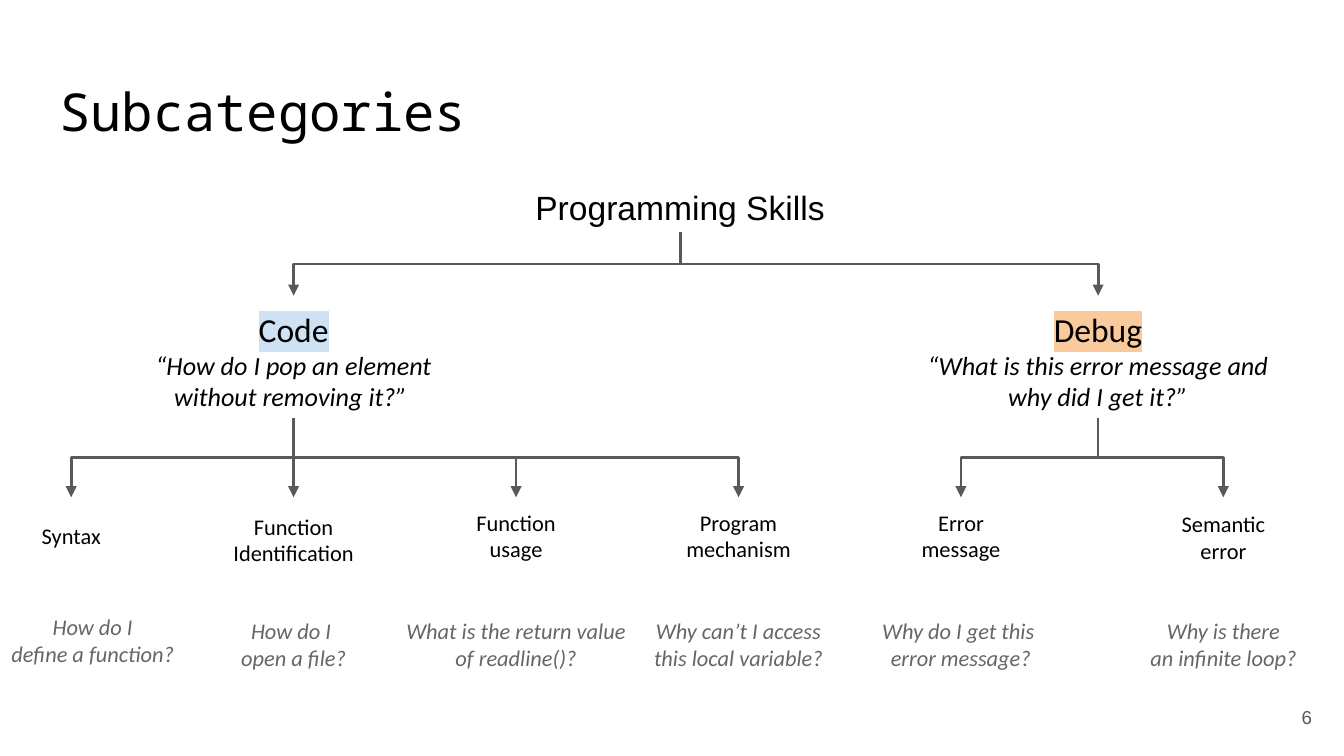
import copy
from dataclasses import dataclass

import pptx
import pptx.dml.color
import pptx.enum.shapes
import pptx.enum.text
import pptx.oxml
import pptx.oxml.ns
import pptx.util

ALIGN = pptx.enum.text.PP_ALIGN
ANCHOR = pptx.enum.text.MSO_ANCHOR
CONNECTOR = pptx.enum.shapes.MSO_CONNECTOR
Inches = pptx.util.Inches
qn = pptx.oxml.ns.qn

SLIDE_W = 10
SLIDE_H = SLIDE_W * 9 / 16
FIRST_COLUMN, COLUMN_STEP = 0.53, (7.15 - 0.53) / 4
SKILL_ROW, CATEGORY_ROW, LEAF_ROW, QUESTION_ROW = 1.29, 2.2, 3.7, 4.41


@dataclass(frozen=True)
class Theme:
    title_font: str = "Noto Sans Mono"
    heading_font: str = "Arial"
    body_font: str = "Calibri"
    text: str = "000000"
    muted: str = "666666"
    line: str = "595959"
    code: str = "CFE2F3"
    debug: str = "F9CB9C"
    title_size: int = 28
    heading_size: int = 18
    quote_size: int = 14
    leaf_size: int = 12
    number_size: int = 10
    line_width: float = 1.5


THEME = Theme()


@dataclass(frozen=True)
class Leaf:
    name: str
    question: str
    column: float
    width: float = 1.09
    height: float = 0.57
    question_nudge: tuple = (0, 0)


@dataclass(frozen=True)
class Category:
    name: str
    quote: str
    center: float
    highlight: str
    leaves: tuple


CATEGORIES = (
    Category("Code", "“How do I pop an element without removing it?” ",
             FIRST_COLUMN + COLUMN_STEP, THEME.code, (
                 Leaf("Syntax", "How do I\ndefine a function?", 0,
                      question_nudge=(0.16, -0.03)),
                 Leaf("Function Identification", "How do I \nopen a file?", 1,
                      width=1.26, height=0.63),
                 Leaf("Function usage",
                      "What is the return value of readline()?", 2),
                 Leaf("Program mechanism",
                      "Why can’t I access\nthis local variable?", 3),
             )),
    Category("Debug", "“What is this error message and why did I get it?”",
             8.17, THEME.debug, (
                 Leaf("Error message", "Why do I get this \nerror message?", 4),
                 Leaf("Semantic error", "Why is there\nan infinite loop?", 5.18,
                      height=0.59),
             )),
)


def column_center(column):
    return FIRST_COLUMN + column * COLUMN_STEP


def rgb(value):
    return pptx.dml.color.RGBColor.from_string(value)


def write(p, text, font, size, color=THEME.text, italic=False, align=ALIGN.CENTER):
    p.text = text
    p.alignment = align
    for r in p.runs:
        r.font.name = font
        r.font.size = pptx.util.Pt(size)
        r.font.italic = italic
        r.font.color.rgb = rgb(color)
    for br in p._p.findall(qn("a:br")):
        br.insert(0, copy.deepcopy(p.runs[0]._r.rPr))


def set_frame(tf, anchor):
    tf.word_wrap = True
    tf.auto_size = pptx.enum.text.MSO_AUTO_SIZE.NONE
    tf.vertical_anchor = anchor
    tf.margin_left = tf.margin_right = tf.margin_top = tf.margin_bottom = Inches(0.1)


def add_text_box(slide, center, top, width, height, anchor=ANCHOR.MIDDLE):
    """Add an empty text box centred on a horizontal position."""
    sp = slide.shapes.add_textbox(Inches(center - width / 2), Inches(top),
                                  Inches(width), Inches(height))
    set_frame(sp.text_frame, anchor)
    return sp


def highlight(r, color):
    mark = pptx.oxml.parse_xml(
        f'<a:highlight {pptx.oxml.ns.nsdecls("a")}><a:srgbClr val="{color}"/></a:highlight>')
    r._r.rPr.find(qn("a:solidFill")).addnext(mark)


def turn_elbow(c):
    """Make an elbow leave and arrive vertically by turning its box a quarter."""
    dx, dy = c.end_x - c.begin_x, c.end_y - c.begin_y
    mid_x, mid_y = (c.begin_x + c.end_x) // 2, (c.begin_y + c.end_y) // 2
    xfrm = c._element.spPr.find(qn("a:xfrm"))
    xfrm.flipH = dx > 0
    xfrm.set("rot", str((270 if dx > 0 else 90) * 60000))
    c.width, c.height = dy, abs(dx)
    c.left, c.top = mid_x - dy // 2, mid_y - abs(dx) // 2


def add_branch(slide, parent, child):
    """Join the bottom of the parent to the top of the child with an arrow."""
    offset = child.left + child.width // 2 - parent.left - parent.width // 2
    straight = abs(offset) < Inches(0.01)
    c = slide.shapes.add_connector(
        CONNECTOR.STRAIGHT if straight else CONNECTOR.ELBOW, 0, 0, 0, 0)
    c.begin_connect(parent, 2)
    c.end_connect(child, 0)
    if not straight:
        turn_elbow(c)
    c.line.color.rgb = rgb(THEME.line)
    c.line.width = pptx.util.Pt(THEME.line_width)
    spPr = c._element.spPr
    ln = spPr.find(qn("a:ln"))
    ln.append(ln.makeelement(qn("a:tailEnd"), {"type": "triangle"}))
    spPr.append(spPr.makeelement(qn("a:effectLst"), {}))


def add_title(slide, text):
    sp = slide.shapes.title
    sp.left, sp.top = Inches(0.34), Inches(0.49)
    sp.width, sp.height = Inches(SLIDE_W - 2 * 0.34), Inches(0.63)
    set_frame(sp.text_frame, ANCHOR.TOP)
    write(sp.text_frame.paragraphs[0], text, THEME.title_font, THEME.title_size,
          align=ALIGN.LEFT)


def add_skill(slide, text):
    sp = add_text_box(slide, 5.06, SKILL_ROW, 2.9, 0.44, ANCHOR.TOP)
    write(sp.text_frame.paragraphs[0], text, THEME.heading_font, THEME.heading_size)
    return sp


def add_category(slide, category):
    sp = add_text_box(slide, category.center, CATEGORY_ROW, 2.9, 0.91, ANCHOR.TOP)
    tf = sp.text_frame
    name = tf.paragraphs[0]
    write(name, category.name, THEME.body_font, THEME.heading_size)
    highlight(name.runs[0], category.highlight)
    write(tf.add_paragraph(), category.quote, THEME.body_font, THEME.quote_size,
          italic=True)
    return sp


def add_leaf(slide, leaf):
    center = column_center(leaf.column)
    sp = add_text_box(slide, center, LEAF_ROW, leaf.width, leaf.height)
    write(sp.text_frame.paragraphs[0], leaf.name, THEME.body_font, THEME.leaf_size)
    dx, dy = leaf.question_nudge
    question = add_text_box(slide, center + dx, QUESTION_ROW + dy, 1.88, 0.76)
    p = question.text_frame.paragraphs[0]
    write(p, leaf.question, THEME.body_font, THEME.leaf_size, THEME.muted, italic=True)
    p.space_after = pptx.util.Pt(10)
    return sp


def add_page_number(slide, text):
    sp = add_text_box(slide, 9.56, 5.12, 0.6, 0.43)
    write(sp.text_frame.paragraphs[0], text, THEME.heading_font, THEME.number_size,
          THEME.line, align=ALIGN.RIGHT)


def main():
    prs = pptx.Presentation()
    prs.slide_width, prs.slide_height = Inches(SLIDE_W), Inches(SLIDE_H)
    slide = prs.slides.add_slide(prs.slide_layouts.get_by_name("Title Only"))
    add_title(slide, "Subcategories")
    skill = add_skill(slide, "Programming Skills")
    for category in CATEGORIES:
        parent = add_category(slide, category)
        add_branch(slide, skill, parent)
        for leaf in category.leaves:
            add_branch(slide, parent, add_leaf(slide, leaf))
    add_page_number(slide, "6")
    prs.save("out.pptx")


if __name__ == "__main__":
    main()
